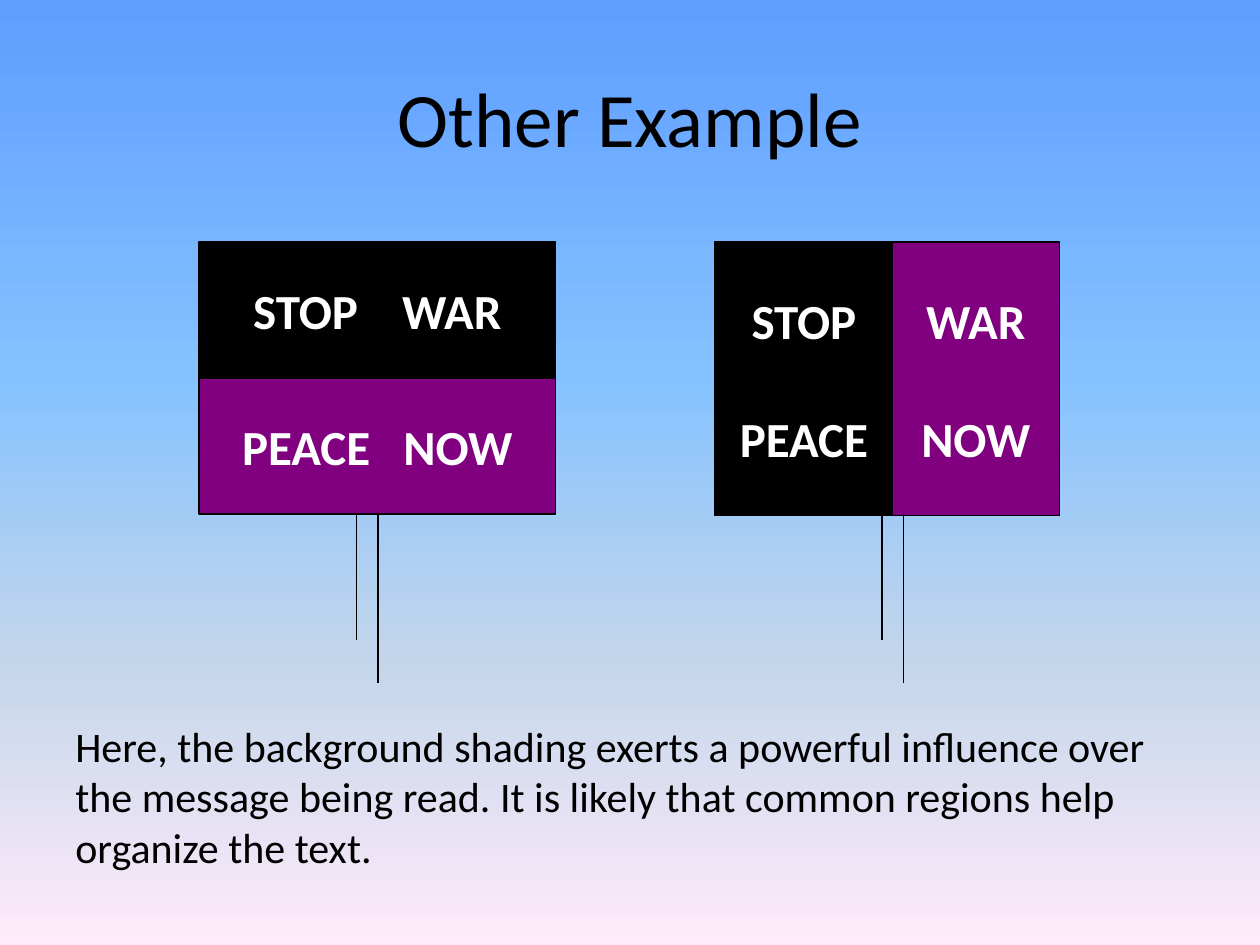
"""Build a slide comparing two protest signs grouped by background shading."""

from dataclasses import dataclass

import lxml.etree
import pptx
import pptx.dml.color
import pptx.enum.dml
import pptx.enum.shapes
import pptx.enum.text
import pptx.oxml.ns
import pptx.util

Inches = pptx.util.Inches
Pt = pptx.util.Pt
RGBColor = pptx.dml.color.RGBColor
Align = pptx.enum.text.PP_ALIGN
Anchor = pptx.enum.text.MSO_ANCHOR
qn = pptx.oxml.ns.qn

BLACK = RGBColor(0x00, 0x00, 0x00)
WHITE = RGBColor(0xFF, 0xFF, 0xFF)
PURPLE = RGBColor(0x80, 0x00, 0x80)
SKY_STOPS = (
    (0, RGBColor(0x5E, 0x9E, 0xFF)),
    (40, RGBColor(0x85, 0xC2, 0xFF)),
    (70, RGBColor(0xC4, 0xD6, 0xEB)),
    (100, RGBColor(0xFF, 0xEB, 0xFA)),
)
FONT = "Calibri"
SIGN_TOP = 1.92
SIGN_BOTTOM = 4.08
POST_GAP = 0.17
POST_ENDS = (5.08, 5.42)


@dataclass(frozen=True)
class Panel:
    left: float
    top: float
    width: float
    height: float
    color: RGBColor
    lines: tuple[str, ...]
    word_gap: float = 0


@dataclass(frozen=True)
class Sign:
    panels: tuple[Panel, ...]
    post_left: float


SIGNS = (
    Sign(
        (
            Panel(1.58, SIGN_TOP, 2.83, 1.08, BLACK, ("STOP WAR",), 19),
            Panel(1.58, 3, 2.83, 1.08, PURPLE, ("PEACE NOW",), 12.7),
        ),
        2.83,
    ),
    Sign(
        (
            Panel(5.67, SIGN_TOP, 1.42, 2.17, BLACK, ("STOP", "PEACE")),
            Panel(7.08, SIGN_TOP, 1.33, 2.17, PURPLE, ("WAR", "NOW")),
        ),
        7,
    ),
)


def write(frame, *lines: str, size: float, color: RGBColor = BLACK,
          bold: bool = False, align=Align.LEFT, anchor=Anchor.TOP,
          wrap: bool = True, line_gap: float = 0, word_gap: float = 0) -> None:
    """Write lines as paragraphs, optionally widening the spaces between words."""
    frame.word_wrap = wrap
    frame.vertical_anchor = anchor
    for index, line in enumerate(lines):
        paragraph = frame.paragraphs[0] if index == 0 else frame.add_paragraph()
        paragraph.alignment = align
        if index:
            paragraph.space_before = Pt(line_gap)
        pieces = line.replace(" ", "| |").split("|") if word_gap else [line]
        for piece in pieces:
            run = paragraph.add_run()
            run.text = piece
            run.font.name = FONT
            run.font.size = Pt(size)
            run.font.bold = bold
            run.font.color.rgb = color
            if piece == " ":
                run.font._element.set("spc", str(round(word_gap * 100)))


def paint_background(slide) -> None:
    """Fill the slide with the vertical sky gradient."""
    fill = slide.background.fill
    fill.gradient()
    fill.gradient_angle = 270
    stops = slide.element.find(".//" + qn("a:gsLst"))
    for stop in list(stops):
        stops.remove(stop)
    for percent, color in SKY_STOPS:
        stop = lxml.etree.SubElement(stops, qn("a:gs"), pos=str(percent * 1000))
        lxml.etree.SubElement(stop, qn("a:srgbClr"), val=str(color))


def add_text_box(slide, left: float, top: float, width: float, height: float):
    """Add a text box and return its text frame."""
    box = slide.shapes.add_textbox(
        Inches(left), Inches(top), Inches(width), Inches(height))
    return box.text_frame


def add_panel(slide, panel: Panel) -> None:
    """Draw one shaded panel with its words."""
    shape = slide.shapes.add_shape(
        pptx.enum.shapes.MSO_SHAPE.RECTANGLE, Inches(panel.left),
        Inches(panel.top), Inches(panel.width), Inches(panel.height))
    shape.shadow.inherit = False
    shape.fill.solid()
    shape.fill.fore_color.rgb = panel.color
    shape.line.color.rgb = BLACK
    shape.line.width = Pt(0.75)
    write(shape.text_frame, *panel.lines, size=28, color=WHITE, bold=True,
          align=Align.CENTER, anchor=Anchor.MIDDLE, wrap=False,
          line_gap=34, word_gap=panel.word_gap)


def add_post_line(slide, left: float, bottom: float) -> None:
    """Draw one vertical edge of a sign post."""
    line = slide.shapes.add_connector(
        pptx.enum.shapes.MSO_CONNECTOR.STRAIGHT, Inches(left),
        Inches(SIGN_BOTTOM), Inches(left), Inches(bottom))
    line.line.color.rgb = BLACK
    line.line.width = Pt(0.75)
    lxml.etree.SubElement(line._element.spPr, qn("a:effectLst"))


def add_sign(slide, sign: Sign) -> None:
    """Draw a sign's panels and the two edges of its post."""
    for panel in sign.panels:
        add_panel(slide, panel)
    for index, bottom in enumerate(POST_ENDS):
        add_post_line(slide, sign.post_left + index * POST_GAP, bottom)


def main() -> None:
    """Build and save the presentation."""
    presentation = pptx.Presentation()
    presentation.slide_width = Inches(10)
    presentation.slide_height = Inches(7.5)
    slide = presentation.slides.add_slide(presentation.slide_layouts[6])
    paint_background(slide)
    write(add_text_box(slide, 0.5, 0.3, 9, 1.25), "Other Example", size=44,
          align=Align.CENTER, anchor=Anchor.MIDDLE)
    for sign in SIGNS:
        add_sign(slide, sign)
    caption = add_text_box(slide, 0.5, 5.67, 8.83, 1.3)
    caption.auto_size = pptx.enum.text.MSO_AUTO_SIZE.SHAPE_TO_FIT_TEXT
    write(caption, "Here, the background shading exerts a powerful influence over "
          "the message being read. It is likely that common regions help "
          "organize the text.", size=24)
    presentation.save("out.pptx")


if __name__ == "__main__":
    main()
